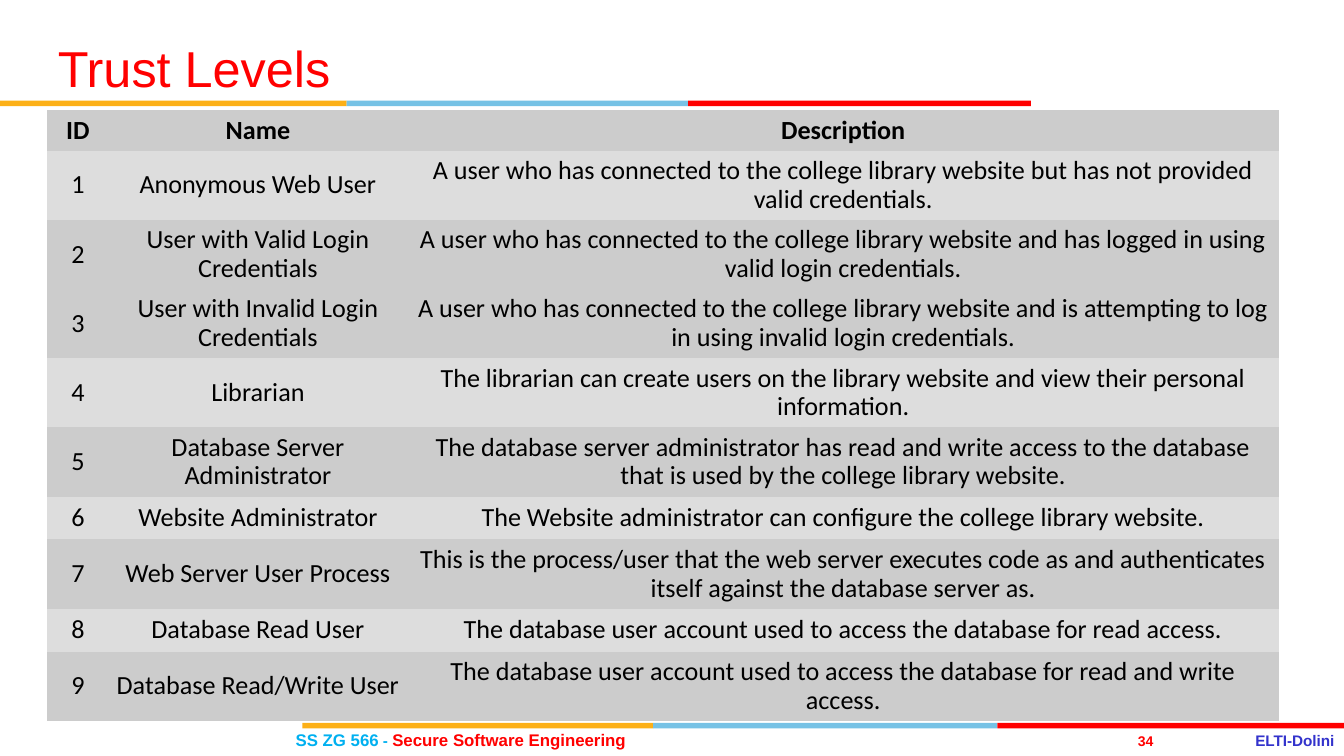
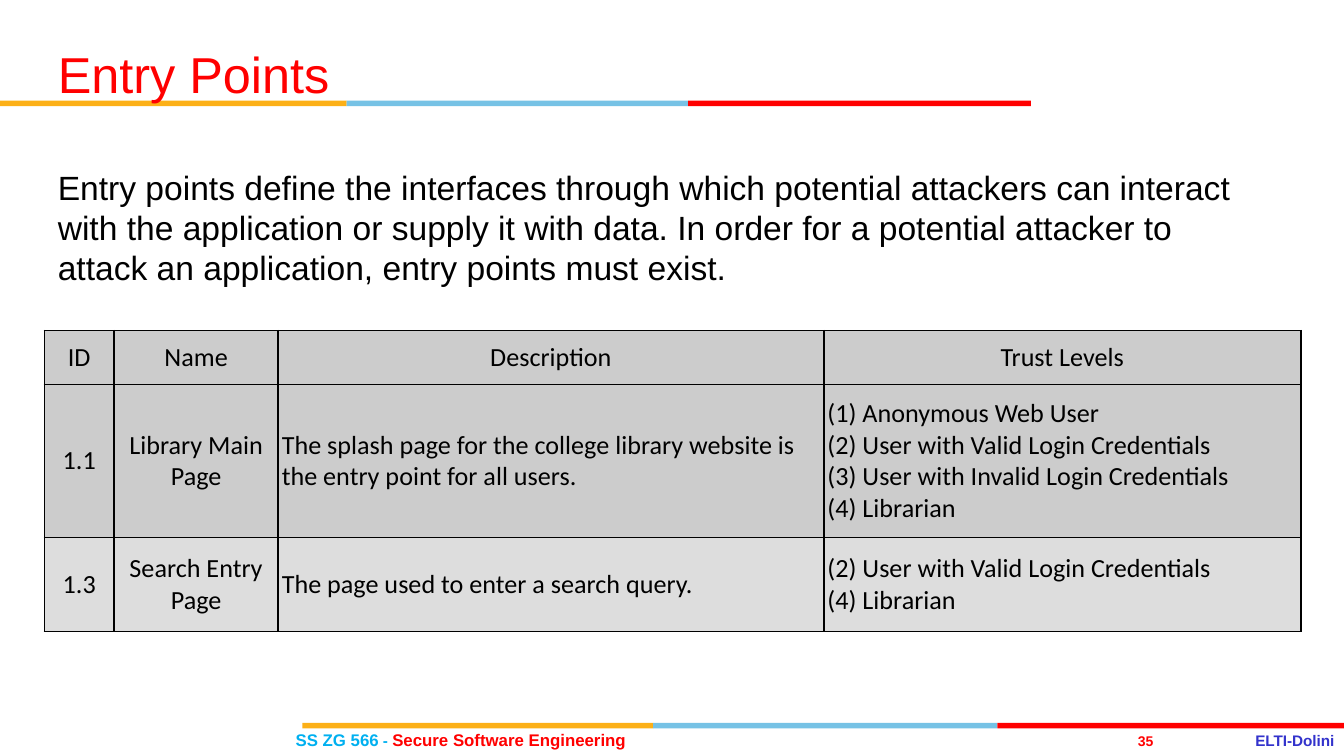
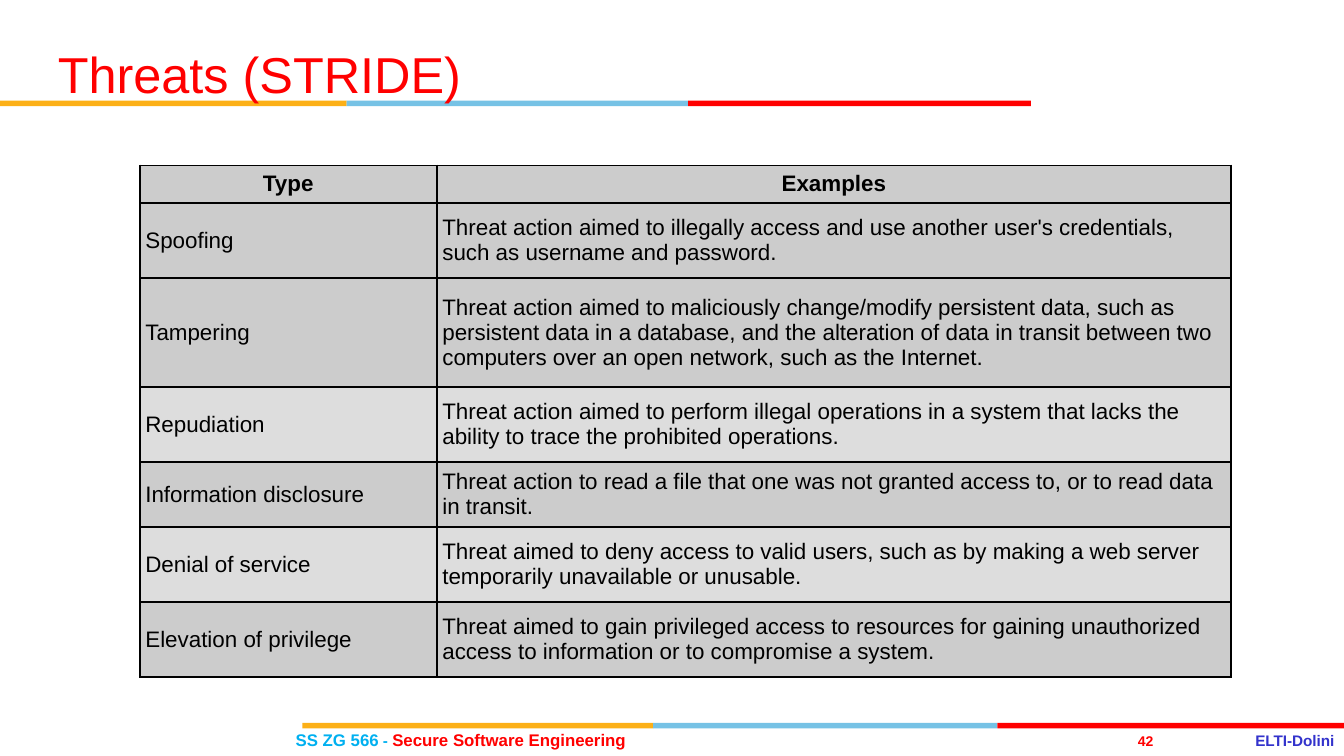
"""Build three threat-modelling slides with shared title style, colour bands and footer."""
from dataclasses import dataclass

from lxml import etree
from pptx import Presentation
from pptx.dml.color import RGBColor
from pptx.enum.shapes import MSO_SHAPE
from pptx.enum.text import MSO_ANCHOR, MSO_AUTO_SIZE, PP_ALIGN
from pptx.oxml.ns import qn
from pptx.util import Inches, Pt

RECT = MSO_SHAPE.RECTANGLE
MIDDLE, TOP = MSO_ANCHOR.MIDDLE, MSO_ANCHOR.TOP
LEFT, CENTER, JUSTIFY = PP_ALIGN.LEFT, PP_ALIGN.CENTER, PP_ALIGN.JUSTIFY
NO_FIT, GROW = MSO_AUTO_SIZE.NONE, MSO_AUTO_SIZE.SHAPE_TO_FIT_TEXT
TITLE_AND_BODY, TITLE_ONLY = 1, 5
PLAIN_TABLE_STYLE = "{2D5ABB26-0587-4C30-8999-92F81FD0307C}"


@dataclass(frozen=True)
class Theme:
    font: str = "Arial"
    table_font: str = "Calibri"
    red: str = "FF0000"
    yellow: str = "FCB017"
    blue: str = "76C2E5"
    cyan: str = "00B0F0"
    indigo: str = "3333CC"
    black: str = "000000"
    dark_row: str = "CCCCCC"
    light_row: str = "DDDDDD"
    title: float = 27
    body: float = 18
    footer: float = 9
    footer_small: float = 8.2
    number: float = 7.5


@dataclass(frozen=True)
class Box:
    left: float
    top: float
    width: float
    height: float

    def emu(self) -> tuple:
        return tuple(Inches(v) for v in (self.left, self.top, self.width, self.height))


@dataclass(frozen=True)
class Band:
    top: float
    edges: tuple


@dataclass(frozen=True)
class Text:
    text: str
    size: float
    color: str


@dataclass(frozen=True)
class Grid:
    left: float
    top: float
    cols: tuple
    heights: tuple
    rows: tuple
    light_rows: tuple
    font: str
    size: float
    inset_pt: float
    centered_cols: int = 0
    bold_header: bool = True
    bordered: bool = True
    line_spacing: float = 1.0


T = Theme()
SLIDE_WIDTH = 10
SLIDE_HEIGHT = SLIDE_WIDTH * 9 / 16
BAND_HEIGHT = 0.04
BANDS = (Band(0.75, (0, 2.58, 5.12, 7.67)), Band(5.38, (2.25, 4.86, 7.42, SLIDE_WIDTH)))
TITLE_BOX = Box(0.33, 0.27, 6.92, 0.63)
COURSE = (
    Text("SS ZG 566", T.footer, T.cyan),
    Text(" - ", T.footer_small, T.cyan),
    Text("Secure Software Engineering", T.footer, T.red),
)

TRUST_LEVELS = Grid(
    0.35, 0.82, (0.46, 2.22, 6.49),
    (0.29, 0.49, 0.49, 0.49, 0.49, 0.49, 0.32, 0.49, 0.32, 0.49),
    (
        ("ID", "Name", "Description"),
        ("1", "Anonymous Web User",
         "A user who has connected to the college library website but has not "
         "provided valid credentials."),
        ("2", "User with Valid Login Credentials",
         "A user who has connected to the college library website and has logged "
         "in using valid login credentials."),
        ("3", "User with Invalid Login Credentials",
         "A user who has connected to the college library website and is "
         "attempting to log in using invalid login credentials."),
        ("4", "Librarian",
         "The librarian can create users on the library website and view their "
         "personal information."),
        ("5", "Database Server Administrator",
         "The database server administrator has read and write access to the "
         "database that is used by the college library website."),
        ("6", "Website Administrator",
         "The Website administrator can configure the college library website."),
        ("7", "Web Server User Process",
         "This is the process/user that the web server executes code as and "
         "authenticates itself against the database server as."),
        ("8", "Database Read User",
         "The database user account used to access the database for read access."),
        ("9", "Database Read/Write User",
         "The database user account used to access the database for read and "
         "write access."),
    ),
    light_rows=(1, 4, 6, 8), font=T.table_font, size=14, inset_pt=3.2,
    centered_cols=3, bordered=False, line_spacing=0.9,
)

ENTRY_POINTS = Grid(
    0.33, 2.46, (0.52, 1.22, 4.06, 3.55), (0.4, 1.14, 0.7),
    (
        ("ID", "Name", "Description", "Trust Levels"),
        ("1.1", "Library Main Page",
         "The splash page for the college library website is the entry point for "
         "all users.",
         "(1) Anonymous Web User\v(2) User with Valid Login Credentials\v"
         "(3) User with Invalid Login Credentials\v(4) Librarian"),
        ("1.3", "Search Entry Page", "The page used to enter a search query.",
         "(2) User with Valid Login Credentials\n(4) Librarian"),
    ),
    light_rows=(2,), font=T.table_font, size=14, inset_pt=2,
    centered_cols=2, bold_header=False,
)

THREATS = Grid(
    1.04, 1.23, (2.21, 5.91), (0.28, 0.56, 0.81, 0.56, 0.48, 0.56, 0.56),
    (
        ("Type", "Examples"),
        ("Spoofing",
         "Threat action aimed to illegally access and use another user's "
         "credentials, such as username and password."),
        ("Tampering",
         "Threat action aimed to maliciously change/modify persistent data, such "
         "as persistent data in a database, and the alteration of data in transit "
         "between two computers over an open network, such as the Internet."),
        ("Repudiation",
         "Threat action aimed to perform illegal operations in a system that lacks "
         "the ability to trace the prohibited operations."),
        ("Information disclosure",
         "Threat action to read a file that one was not granted access to, or to "
         "read data in transit."),
        ("Denial of service",
         "Threat aimed to deny access to valid users, such as by making a web "
         "server temporarily unavailable or unusable."),
        ("Elevation of privilege",
         "Threat aimed to gain privileged access to resources for gaining "
         "unauthorized access to information or to compromise a system."),
    ),
    light_rows=(3, 5), font=T.font, size=12, inset_pt=3,
)

ENTRY_POINTS_INTRO = (
    "Entry points define the interfaces through which potential attackers can "
    "interact with the application or supply it with data. In order for a potential "
    "attacker to attack an application, entry points must exist."
)


def style_font(font, size: float, color: str, bold: bool = False, name: str = T.font) -> None:
    font.name, font.size, font.bold = name, Pt(size), bold
    font.color.rgb = RGBColor.from_string(color)


def add_bands(s, band: Band) -> None:
    group = s.shapes.add_group_shape()
    colors = (T.yellow, T.blue, T.red)
    for left, right, color in zip(band.edges, band.edges[1:], colors):
        sp = group.shapes.add_shape(RECT, *Box(left, band.top, right - left, BAND_HEIGHT).emu())
        sp.shadow.inherit = False
        sp.fill.solid()
        sp.fill.fore_color.rgb = RGBColor.from_string(color)
        sp.line.fill.background()


def add_label(s, box: Box, parts: tuple, align=LEFT, fit=NO_FIT) -> None:
    tf = s.shapes.add_textbox(*box.emu()).text_frame
    tf.margin_left = tf.margin_right = tf.margin_top = tf.margin_bottom = 0
    tf.word_wrap, tf.auto_size, tf.vertical_anchor = False, fit, MIDDLE
    p = tf.paragraphs[0]
    p.alignment = align
    for part in parts:
        r = p.add_run()
        r.text = part.text
        style_font(r.font, part.size, part.color, True)


def fill_placeholder(s, sp, box: Box, text: Text, anchor):
    sp.left, sp.top, sp.width, sp.height = box.emu()
    tf = sp.text_frame
    tf.text = text.text
    tf.word_wrap, tf.auto_size, tf.vertical_anchor = True, NO_FIT, anchor
    p = tf.paragraphs[0]
    p.alignment = LEFT
    style_font(p.runs[0].font, text.size, text.color)
    s.shapes.element.append(sp.element)
    return p


def add_body(s, text: str) -> None:
    p = fill_placeholder(s, s.placeholders[1], Box(0.33, 1.19, 9, 3.71),
                         Text(text, T.body, T.black), TOP)
    p.space_before = Pt(0.2 * T.body)
    pPr = p._p.get_or_add_pPr()
    pPr.set("marL", "0")
    pPr.set("indent", "0")
    etree.SubElement(pPr, qn("a:buNone"))


def add_borders(cell) -> None:
    tcPr = cell._tc.get_or_add_tcPr()
    for i, side in enumerate("LRTB"):
        ln = etree.Element(qn(f"a:ln{side}"), w=str(Pt(1)))
        fill = etree.SubElement(ln, qn("a:solidFill"))
        etree.SubElement(fill, qn("a:srgbClr"), val=T.black)
        tcPr.insert(i, ln)


def add_grid(s, grid: Grid) -> None:
    box = Box(grid.left, grid.top, sum(grid.cols), sum(grid.heights))
    frame = s.shapes.add_table(len(grid.rows), len(grid.cols), *box.emu())
    frame.element.find(".//" + qn("a:tableStyleId")).text = PLAIN_TABLE_STYLE
    table = frame.table
    table.first_row = table.horz_banding = False
    for column, width in zip(table.columns, grid.cols):
        column.width = Inches(width)
    for i, (row, height) in enumerate(zip(table.rows, grid.heights)):
        row.height = Inches(height)
        color = T.light_row if i in grid.light_rows else T.dark_row
        for j, cell in enumerate(row.cells):
            cell.margin_left = cell.margin_right = Pt(grid.inset_pt)
            cell.margin_top = cell.margin_bottom = Pt(grid.inset_pt)
            cell.vertical_anchor = MIDDLE
            cell.fill.solid()
            cell.fill.fore_color.rgb = RGBColor.from_string(color)
            if grid.bordered:
                add_borders(cell)
            cell.text_frame.text = grid.rows[i][j]
            for p in cell.text_frame.paragraphs:
                p.alignment = CENTER if i == 0 or j < grid.centered_cols else LEFT
                p.line_spacing = grid.line_spacing
                for r in p.runs:
                    style_font(r.font, grid.size, T.black, i == 0 and grid.bold_header, grid.font)


def add_slide(prs, layout: int, title: str, number: int, title_box: Box = TITLE_BOX):
    s = prs.slides.add_slide(prs.slide_layouts[layout])
    add_label(s, Box(9.34, 5.44, 0.64, 0.14),
              (Text("ELTI-Dolini", T.footer_small, T.indigo),), JUSTIFY, GROW)
    add_label(s, Box(8.4, 5.45, 0.25, 0.13),
              (Text(str(number), T.number, T.red),), CENTER, GROW)
    for band in BANDS:
        add_bands(s, band)
    add_label(s, Box(2.2, 5.43, 2.76, 0.15), COURSE)
    p = fill_placeholder(s, s.shapes.title, title_box, Text(title, T.title, T.red), MIDDLE)
    p.line_spacing = Pt(T.title)
    return s


def main() -> None:
    prs = Presentation()
    prs.slide_width, prs.slide_height = Inches(SLIDE_WIDTH), Inches(SLIDE_HEIGHT)

    s = add_slide(prs, TITLE_ONLY, "Trust Levels", 34, Box(0.33, 0.14, 6.92, 0.79))
    add_grid(s, TRUST_LEVELS)

    s = add_slide(prs, TITLE_AND_BODY, "Entry Points", 35)
    add_body(s, ENTRY_POINTS_INTRO)
    add_grid(s, ENTRY_POINTS)

    s = add_slide(prs, TITLE_ONLY, "Threats (STRIDE)", 42)
    add_grid(s, THREATS)

    prs.save("out.pptx")


main()
